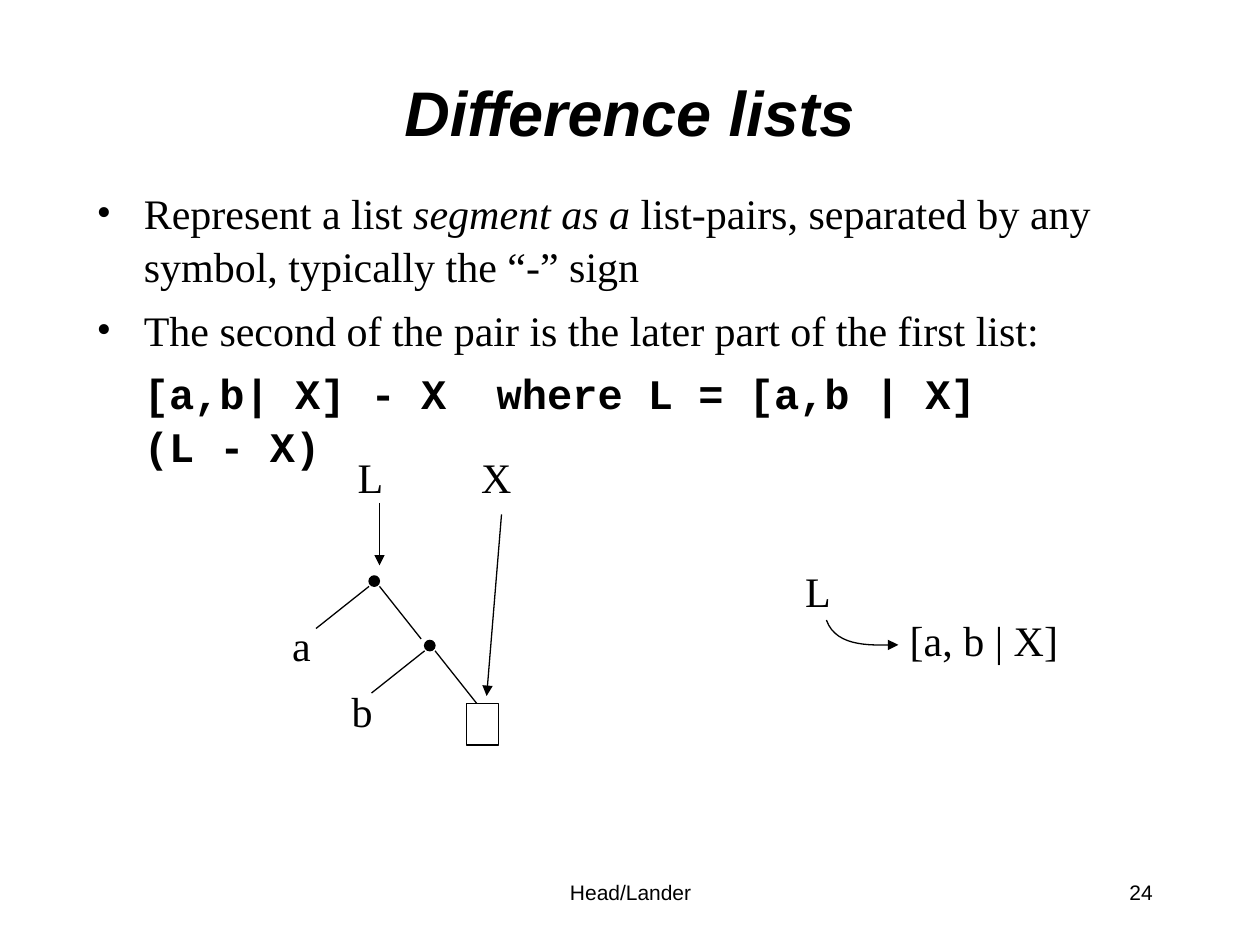
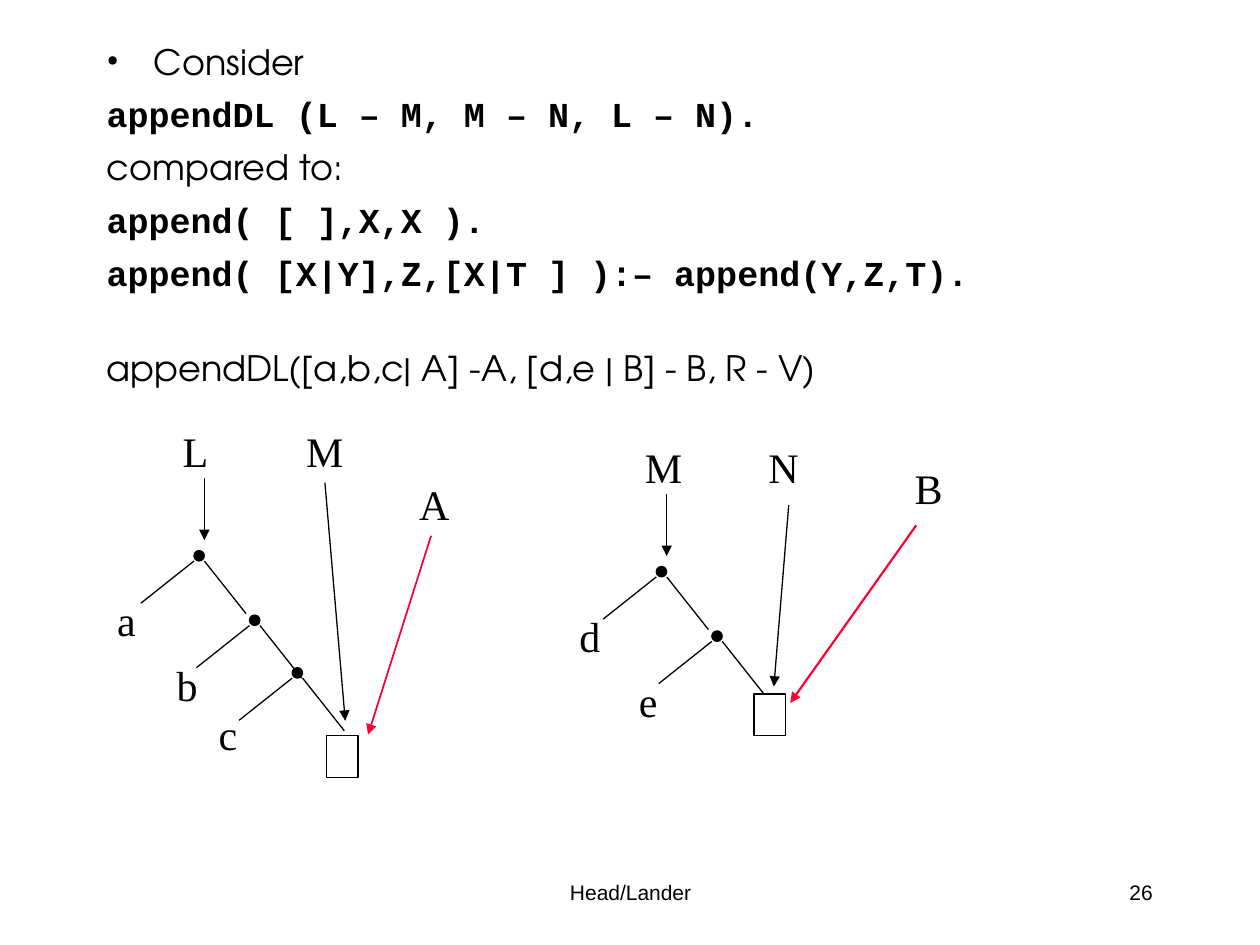
from lxml import etree
from pptx import Presentation
from pptx.dml.color import RGBColor
from pptx.enum.shapes import MSO_CONNECTOR, MSO_SHAPE
from pptx.enum.text import MSO_ANCHOR, PP_ALIGN
from pptx.oxml.ns import qn
from pptx.util import Cm, Pt

STRAIGHT = MSO_CONNECTOR.STRAIGHT
OVAL, RECTANGLE = MSO_SHAPE.OVAL, MSO_SHAPE.RECTANGLE
LEFT, CENTER, RIGHT = PP_ALIGN.LEFT, PP_ALIGN.CENTER, PP_ALIGN.RIGHT
TOP, MIDDLE = MSO_ANCHOR.TOP, MSO_ANCHOR.MIDDLE

BLACK, RED = "000000", "FF0033"
SANS, SERIF = "Arial", "Times New Roman"
MONO, GEOMETRIC = "Courier New", "TeX Gyre Adventor"
FOOTER = "Head/Lander"

# All lengths below are in centimetres.
BULLET_INDENT = 0.95
DOT = 0.21
BOX_WIDTH, BOX_HEIGHT = 0.64, 0.84
# For each node of a tree: its place from the root, and its label from the node
NODES = (
    ((0, 0), (-1.8, 0.76)),
    ((1.12, 1.3), (-1.72, 0.78)),
    ((1.98, 2.36), (-1.73, 0.69)),
)
# Place of the tail box and ends of the arrow to it, by number of nodes
TAILS = {
    2: ((1.97, 2.57), (2.67, -1.24), (2.37, 2.42)),
    3: ((2.67, 3.73), (2.64, -1.37), (3.05, 3.43)),
}


def color(value):
    return RGBColor.from_string(value)


def shift(point, offset):
    return point[0] + offset[0], point[1] + offset[1]


def add_run(paragraph, text, font, size, bold=False, italic=False):
    run = paragraph.add_run()
    run.text = text
    run.font.name = font
    run.font.size = Pt(size)
    run.font.bold = bold
    run.font.italic = italic
    run.font.color.rgb = color(BLACK)


def add_frame(slide, left, top, width, height, anchor=TOP):
    """Add a wrapping text box and return its text frame."""
    box = slide.shapes.add_textbox(Cm(left), Cm(top), Cm(width), Cm(height))
    frame = box.text_frame
    frame.word_wrap = True
    frame.vertical_anchor = anchor
    return frame


def add_text(slide, text, area, font, size, align=LEFT, anchor=TOP, **style):
    paragraph = add_frame(slide, *area, anchor).paragraphs[0]
    paragraph.alignment = align
    add_run(paragraph, text, font, size, **style)


def add_label(slide, text, place, width=1.5):
    add_text(slide, text, (*place, width, 1.27), SERIF, 24)


def add_paragraph(frame, space_before, bullet=False, indented=False):
    """Start a body paragraph; the first of the frame gets no space before."""
    paragraph = frame.paragraphs[0]
    if paragraph.runs:
        paragraph = frame.add_paragraph()
        paragraph.space_before = Pt(space_before)
    paragraph.line_spacing = 1.05
    properties = paragraph._p.get_or_add_pPr()
    if bullet or indented:
        properties.set("marL", str(Cm(BULLET_INDENT)))
    if bullet:
        properties.set("indent", str(-Cm(BULLET_INDENT)))
        etree.SubElement(properties, qn("a:buFont"), typeface=SERIF)
        etree.SubElement(properties, qn("a:buChar"), char="•")
    return paragraph


def style_line(line, line_color, width, arrow):
    line.color.rgb = color(line_color)
    line.width = Pt(width)
    if arrow:
        etree.SubElement(line._get_or_add_ln(), qn("a:tailEnd"), type="triangle")


def add_line(slide, start, end, line_color=BLACK, width=0.75, arrow=False):
    connector = slide.shapes.add_connector(
        STRAIGHT, *(Cm(value) for value in (*start, *end)))
    style_line(connector.line, line_color, width, arrow)
    etree.SubElement(connector._element.spPr, qn("a:effectLst"))


def add_curved_arrow(slide, controls, steps=16):
    """Draw a cubic Bezier curve through its four control points."""
    def point(t):
        weights = ((1 - t) ** 3, 3 * t * (1 - t) ** 2, 3 * t ** 2 * (1 - t), t ** 3)
        return tuple(Cm(sum(weight * control[axis]
                            for weight, control in zip(weights, controls)))
                     for axis in (0, 1))

    builder = slide.shapes.build_freeform(*point(0))
    builder.add_line_segments(
        [point(step / steps) for step in range(1, steps + 1)], close=False)
    curve = builder.convert_to_shape()
    curve.shadow.inherit = False
    curve.fill.background()
    style_line(curve.line, BLACK, 0.75, True)


def add_shape(slide, kind, place, width, height, fill=None):
    shape = slide.shapes.add_shape(
        kind, *(Cm(value) for value in (*place, width, height)))
    shape.shadow.inherit = False
    if fill:
        shape.fill.solid()
        shape.fill.fore_color.rgb = color(fill)
    else:
        shape.fill.background()
    style_line(shape.line, BLACK, 0.75, False)


def add_list_tree(slide, root, items, head, tail):
    """Draw a list as a tree, with pointers to its head and its open tail."""
    head_place = shift(root, (-0.48, -2.64))
    add_label(slide, head, head_place)
    add_label(slide, tail, shift(head_place, (2.49, 0)))
    add_line(slide, shift(root, (DOT, -1.47)), shift(root, (DOT, -DOT)), arrow=True)
    for item, (node_offset, label_offset) in zip(items, NODES):
        node = shift(root, node_offset)
        add_shape(slide, OVAL, node, DOT, DOT, BLACK)
        add_label(slide, item, shift(node, label_offset))
        left_start, right_start = shift(node, (0, DOT)), shift(node, (DOT, DOT))
        add_line(slide, left_start, shift(left_start, (-1.07, 0.85)))
        add_line(slide, right_start, shift(right_start, (0.84, 1.06)))
    box, start, end = (shift(root, offset) for offset in TAILS[len(items)])
    add_shape(slide, RECTANGLE, box, BOX_WIDTH, BOX_HEIGHT)
    add_line(slide, start, end, arrow=True)


def add_slide(presentation, number):
    """Add a blank slide with the shared footer and its page number."""
    slide = presentation.slides.add_slide(presentation.slide_layouts[6])
    add_text(slide, FOOTER, (8.69, 17.35, 8.05, 1.27), SANS, 12, CENTER, MIDDLE)
    add_text(slide, number, (18.21, 17.35, 5.28, 1.27), SANS, 12, RIGHT, MIDDLE)
    return slide


def build_difference_lists(presentation):
    slide = add_slide(presentation, "24")
    add_text(slide, "Difference lists", (1.9, 1.07, 21.59, 2.34), SANS, 36,
             CENTER, MIDDLE, bold=True, italic=True)

    body = add_frame(slide, 1.7, 3.61, 22.66, 13.77)
    paragraph = add_paragraph(body, 6, bullet=True)
    add_run(paragraph, "Represent a list ", SERIF, 24)
    add_run(paragraph, "segment as a", SERIF, 24, italic=True)
    add_run(paragraph, " list-pairs, separated by any symbol, "
            "typically the “-” sign", SERIF, 24)
    paragraph = add_paragraph(body, 6, bullet=True)
    add_run(paragraph, "The second of the pair is the later part of the first list:",
            SERIF, 24)
    paragraph = add_paragraph(body, 6, indented=True)
    add_run(paragraph, "[a,b| X] - X  where L = [a,b | X]", MONO, 24, bold=True)
    paragraph.add_line_break()
    add_run(paragraph, "(L - X)", MONO, 24, bold=True)

    add_list_tree(slide, (7.44, 11.61), "ab", "L", "X")
    add_label(slide, "L", (15.98, 11.28))
    add_label(slide, "[a, b | X]", (18.09, 12.26), width=4)
    add_curved_arrow(slide, ((16.66, 12.5), (16.87, 13.08), (17.63, 13), (18.11, 13)))


def build_append(presentation):
    slide = add_slide(presentation, "26")
    body = add_frame(slide, 1.9, 0.64, 21.59, 16.08)
    lines = (
        ("Consider", GEOMETRIC, 0),
        ("appendDL (L – M, M – N, L – N).", MONO, 5),
        ("compared to:", GEOMETRIC, 5),
        ("append( [ ],X,X ).", MONO, 5),
        ("append( [X|Y],Z,[X|T ] ):– append(Y,Z,T).", MONO, 5),
        ("appendDL([a,b,c| A] -A, [d,e | B] - B, R - V)", GEOMETRIC, 29),
    )
    for index, (text, font, space_before) in enumerate(lines):
        paragraph = add_paragraph(body, space_before, bullet=index == 0)
        add_run(paragraph, text, font, 20, bold=font == MONO)

    add_list_tree(slide, (3.91, 11.1), "abc", "L", "M")
    add_label(slide, "A", (8.2, 9.53))
    add_line(slide, (8.69, 10.8), (7.42, 14.81), RED, 1, arrow=True)
    add_list_tree(slide, (13.23, 11.42), "de", "M", "N")
    add_label(slide, "B", (18.19, 9.19))
    add_line(slide, (18.47, 10.59), (15.93, 14.17), RED, 1.25, arrow=True)


def main():
    presentation = Presentation()
    presentation.slide_width, presentation.slide_height = Cm(25.4), Cm(19.05)
    build_difference_lists(presentation)
    build_append(presentation)
    presentation.save("out.pptx")


if __name__ == "__main__":
    main()
